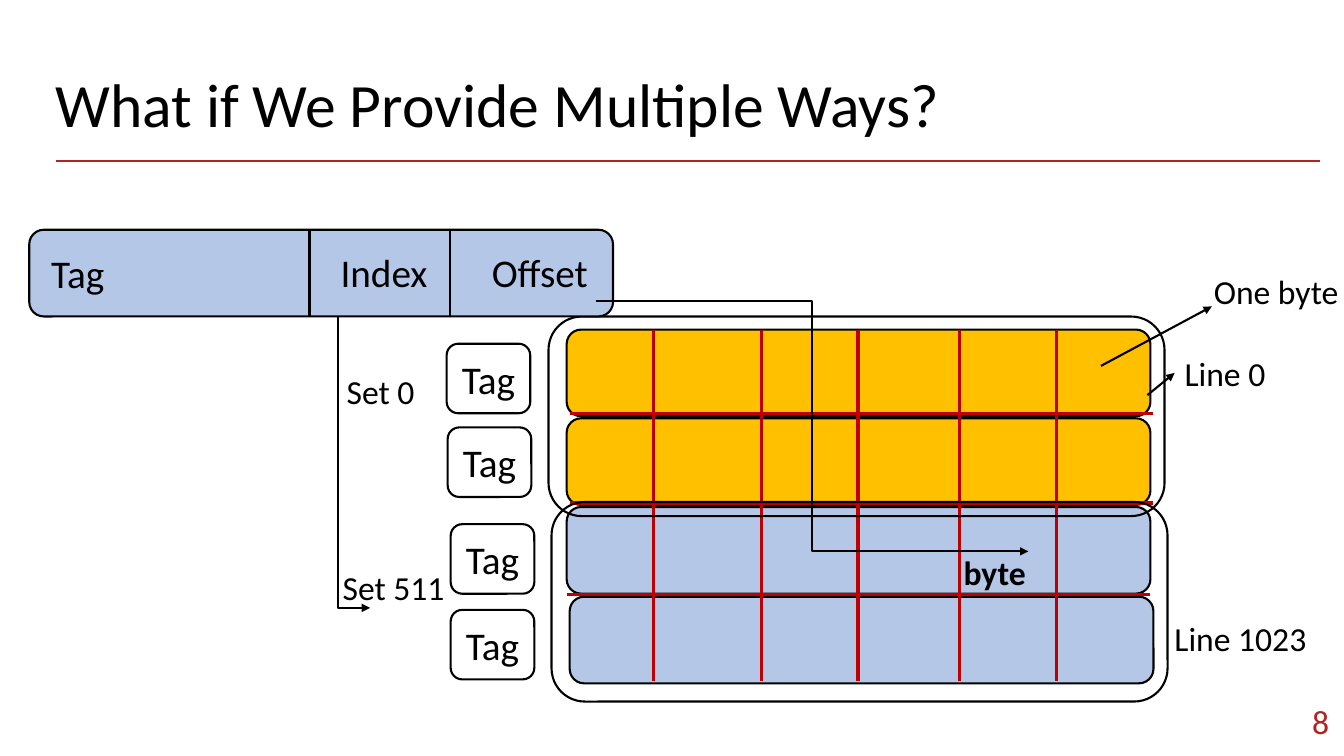
from lxml import etree
from pptx import Presentation
from pptx import util as u
from pptx.dml.color import RGBColor
from pptx.enum import shapes, text
from pptx.oxml import ns

PX = u.Inches(1) // 100
FONT = "Calibri"
BLACK = RGBColor(0x00, 0x00, 0x00)
WHITE = RGBColor(0xFF, 0xFF, 0xFF)
FIREBRICK = RGBColor(0xB2, 0x22, 0x22)
RED = RGBColor(0xC0, 0x00, 0x00)
BLUE = RGBColor(0xB4, 0xC7, 0xE7)
AMBER = RGBColor(0xFF, 0xC0, 0x00)


def scaled(*lengths):
    return [round(length * PX) for length in lengths]


def write(shape, words, size, color=BLACK, bold=False, align=text.PP_ALIGN.LEFT):
    para = shape.text_frame.paragraphs[0]
    para.text = words
    para.alignment = align
    para.font.name = FONT
    para.font.size = u.Pt(size)
    para.font.bold = bold
    para.font.color.rgb = color


def add_label(page, left, top, width, words, size=24, bold=False):
    height = 57 if size == 28 else 50
    box = page.shapes.add_textbox(*scaled(left, top, width, height))
    box.text_frame.word_wrap = False
    write(box, words, size, bold=bold)


def add_rounded(page, left, top, width, height, fill=None):
    box = page.shapes.add_shape(
        shapes.MSO_SHAPE.ROUNDED_RECTANGLE, *scaled(left, top, width, height))
    box.shadow.inherit = False
    if fill is None:
        box.fill.background()
    else:
        box.fill.solid()
        box.fill.fore_color.rgb = fill
    box.line.color.rgb = BLACK
    box.line.width = u.Pt(1.5)
    return box


def add_line(page, start, end, color=BLACK, width=1.5, arrow=False,
             kind=shapes.MSO_CONNECTOR.STRAIGHT):
    line = page.shapes.add_connector(kind, *scaled(*start, *end))
    line.line.color.rgb = color
    line.line.width = u.Pt(width)
    properties = line._element.spPr
    if arrow:
        outline = properties.find(ns.qn("a:ln"))
        etree.SubElement(outline, ns.qn("a:tailEnd"), type="triangle")
    etree.SubElement(properties, ns.qn("a:effectLst"))
    return line


def add_corner_arrow(page, left, top, width, height):
    """Arrow down the left side of the box, then right along its bottom."""
    middle_x, middle_y = left + width / 2, top + height / 2
    line = add_line(page, (middle_x + height / 2, middle_y - width / 2),
                    (middle_x - height / 2, middle_y + width / 2),
                    arrow=True, kind=shapes.MSO_CONNECTOR.ELBOW)
    properties = line._element.spPr
    properties.find(ns.qn("a:xfrm")).set("rot", str(270 * 60000))
    properties.find(ns.qn("a:prstGeom")).set("prst", "bentConnector2")


def add_heading(page, left, top, width, height):
    title = page.shapes.title
    title.left, title.top, title.width, title.height = scaled(left, top, width, height)
    write(title, "What if We Provide Multiple Ways?", 44)
    frame = title.text_frame
    frame.paragraphs[0].line_spacing = 0.9
    frame.auto_size = text.MSO_AUTO_SIZE.NONE
    frame.vertical_anchor = text.MSO_ANCHOR.TOP
    frame.margin_left = frame.margin_right = u.Inches(0.1)
    frame.margin_top = frame.margin_bottom = u.Inches(0.1)
    add_line(page, (left + 11, top + 96), (left + 1264, top + 96), FIREBRICK)


def add_page_number(page, left, top, width, height):
    box = page.shapes.add_textbox(*scaled(left, top, width, height))
    box.text_frame.word_wrap = True
    box.text_frame.vertical_anchor = text.MSO_ANCHOR.MIDDLE
    write(box, "8", 24, FIREBRICK, align=text.PP_ALIGN.RIGHT)


def add_cache(page, left, top, width, line_height):
    """Four cache lines, split into bytes and grouped into two sets."""
    for shift, offset, fill in ((3, 265, BLUE), (0, 176, BLUE),
                                (0, 88, AMBER), (0, 0, AMBER)):
        add_rounded(page, left + shift, top + offset, width, line_height, fill)
    for offset in (86, 193, 289, 390, 486):
        add_line(page, (left + offset, top), (left + offset, top + 349), RED, 2.25)
    for shift, offset in ((3, 83), (3, 172), (0, 263)):
        add_line(page, (left + shift + width, top + offset),
                 (left + shift, top + offset), RED, 2.25)
    for shift, offset in ((-18, -13), (-15, 171)):
        add_rounded(page, left + shift, top + offset, width + 32, 198)


def add_tags(page, left, top):
    for shift, offset in ((0, 0), (1, 83), (4, 179), (4, 264)):
        tag = add_rounded(page, left + shift, top + offset, 83, 69, WHITE)
        frame = tag.text_frame
        frame.margin_left = frame.margin_right = 0
        frame.margin_top = frame.margin_bottom = 0
        frame.word_wrap = False
        frame.vertical_anchor = text.MSO_ANCHOR.MIDDLE
        write(tag, "Tag", 28, align=text.PP_ALIGN.CENTER)


def add_address(page, left, top, width, height):
    add_rounded(page, left, top, width, height, BLUE)
    for offset in (278, 417):
        add_line(page, (left + offset, top), (left + offset, top + height))
    for offset, drop, size, words in ((12, 14, 73, "Tag"), (299, 13, 107, "Index"),
                                      (449, 13, 117, "Offset")):
        add_label(page, left + offset, top + drop, size, words, 28)


def add_callouts(page):
    add_line(page, (1092, 363), (1202, 304), arrow=True)
    add_line(page, (1138, 392), (1165, 370), arrow=True)
    for left, top, width, words in (
            (1194, 264, 145, "One byte"), (1165, 345, 101, "Line 0"),
            (1155, 608, 152, "Line 1023"), (334, 363, 88, "Set 0"),
            (330, 558, 122, "Set 511")):
        add_label(page, left, top, width, words)
    add_label(page, 946, 543, 90, "byte", bold=True)


def add_lookup_arrows(page):
    add_corner_arrow(page, 335, 314, 32, 289)
    add_line(page, (591, 299), (1020, 547), arrow=True,
             kind=shapes.MSO_CONNECTOR.ELBOW)


def main():
    deck = Presentation()
    deck.slide_width, deck.slide_height = scaled(1333, 750)
    page = deck.slides.add_slide(deck.slide_layouts.get_by_name("Title Only"))
    add_heading(page, 45, 64, 1242, 84)
    add_page_number(page, 1227, 687, 101, 57)
    add_cache(page, 562, 327, 579, 86)
    add_callouts(page)
    add_address(page, 29, 228, 579, 86)
    add_lookup_arrows(page)
    add_tags(page, 443, 341)
    deck.save("out.pptx")


if __name__ == "__main__":
    main()
